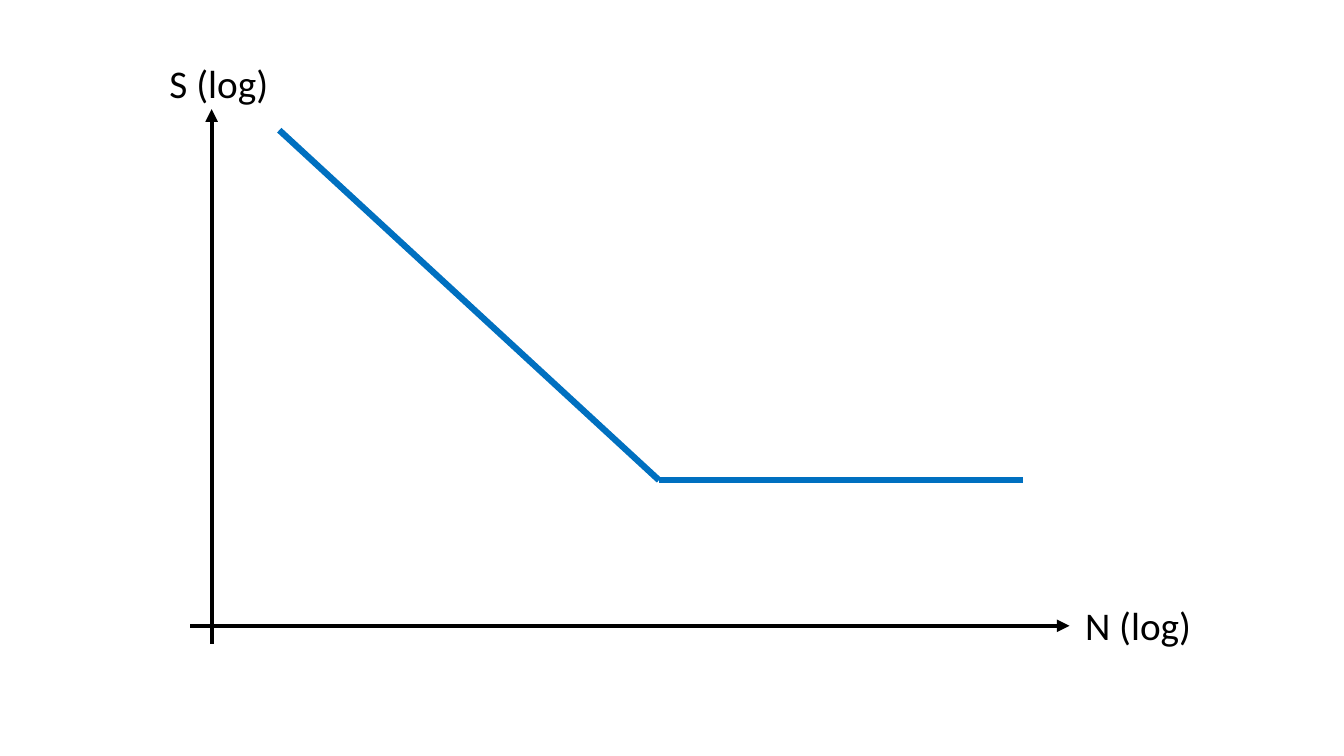
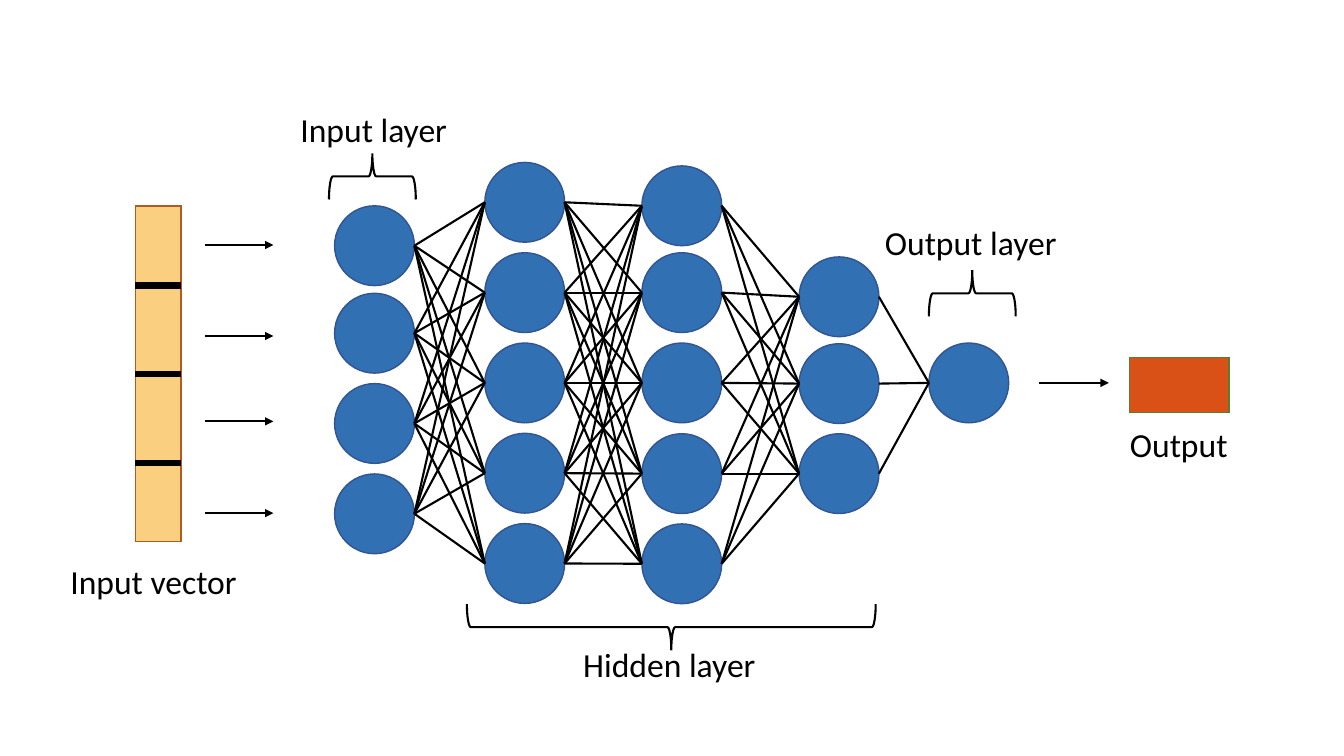
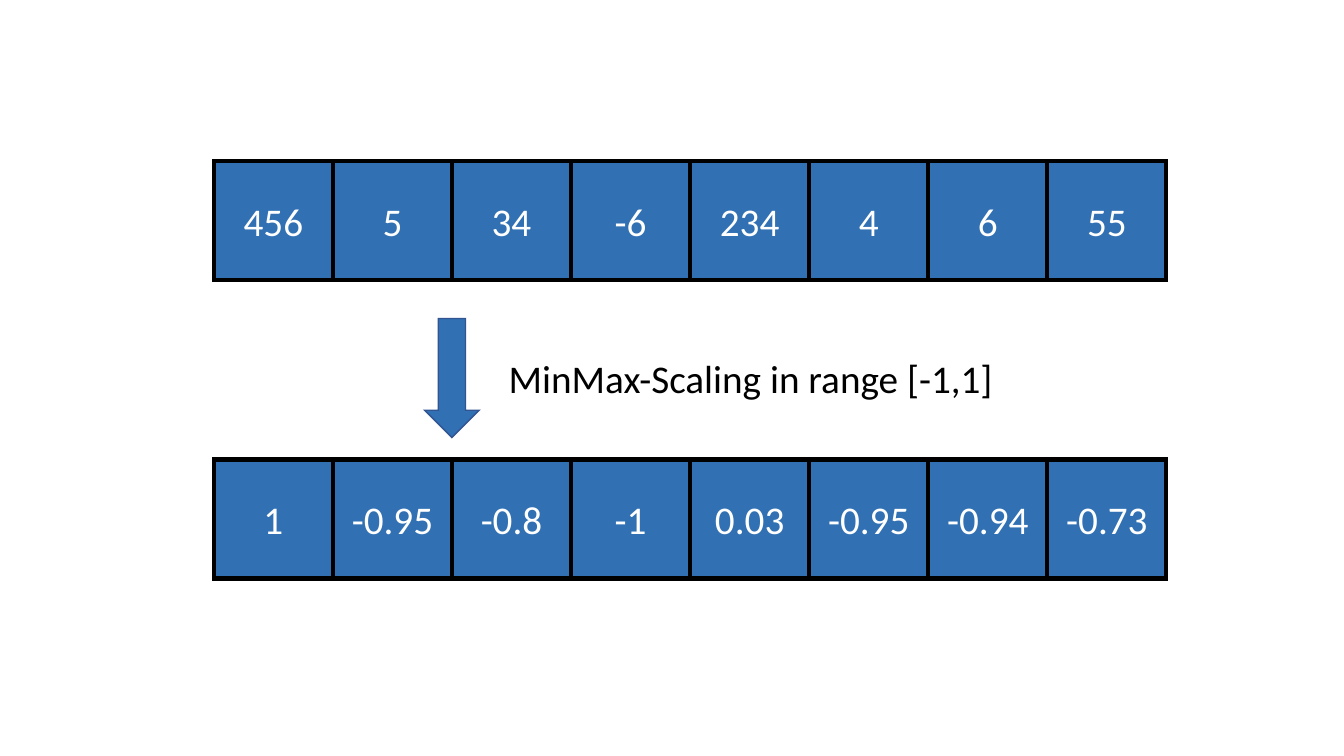
from itertools import pairwise, product

from lxml.etree import SubElement
from pptx import Presentation
from pptx.dml.color import RGBColor
from pptx.enum.shapes import MSO_CONNECTOR, MSO_SHAPE
from pptx.enum.text import MSO_ANCHOR, MSO_AUTO_SIZE, PP_ALIGN
from pptx.oxml.ns import qn
from pptx.util import Pt

# Shared look
FONT = "Calibri"
BLACK, WHITE = "000000", "FFFFFF"
BLUE, BLUE_EDGE, CURVE_BLUE = "3070B3", "325491", "0070C0"
SAND, SAND_EDGE = "FAD080", "AF5C24"
ORANGE, GREEN_EDGE = "D95117", "538035"


def paint(color_format, color):
    color_format.rgb = RGBColor.from_string(color)


def style_paragraph(paragraph, size, color):
    paragraph.font.name = FONT
    paragraph.font.size = Pt(size)
    paint(paragraph.font.color, color)


def add_label(slide, text, left, top, width, height, size, wrap=False):
    frame = slide.shapes.add_textbox(
        Pt(left), Pt(top), Pt(width), Pt(height)).text_frame
    frame.word_wrap = wrap
    frame.auto_size = MSO_AUTO_SIZE.SHAPE_TO_FIT_TEXT
    frame.text = text
    style_paragraph(frame.paragraphs[0], size, BLACK)


def add_block(slide, preset, left, top, width, height, fill, edge, weight=1):
    block = slide.shapes.add_shape(
        preset, Pt(left), Pt(top), Pt(width), Pt(height))
    block.shadow.inherit = False
    if fill:
        block.fill.solid()
        paint(block.fill.fore_color, fill)
    else:
        block.fill.background()
    paint(block.line.color, edge)
    block.line.width = Pt(weight)
    # Sharp outline corners
    outline = block._element.spPr.find(qn("a:ln"))
    SubElement(outline, qn("a:miter"), lim="800000")
    return block


def add_line(slide, start, end, weight=1.5, color=BLACK, arrow=False):
    line = slide.shapes.add_connector(
        MSO_CONNECTOR.STRAIGHT, *(Pt(value) for value in (*start, *end)))
    paint(line.line.color, color)
    line.line.width = Pt(weight)
    properties = line._element.spPr
    if arrow:
        SubElement(properties.find(qn("a:ln")), qn("a:tailEnd"), type="triangle")
    SubElement(properties, qn("a:effectLst"))
    return line


def add_brace(slide, left, top, width, height, rotation):
    """Lay a right brace on its side so that it fills the given box."""
    shift = (width - height) / 2
    brace = add_block(slide, MSO_SHAPE.RIGHT_BRACE, left + shift, top - shift,
                      height, width, None, BLACK, 1.5)
    brace.rotation = rotation


# Slide 1: stress-cycle curve
def add_sn_plot(slide, left, top, width, height):
    right, bottom = left + width, top + height
    axis_x, axis_y = left + 15.2, bottom - 13
    add_line(slide, (axis_x, bottom), (axis_x, top), 3, arrow=True)
    add_line(slide, (left, axis_y), (right, axis_y), 3, arrow=True)
    add_label(slide, "N (log)", right + 4, axis_y - 20.8, 91, 41, 28)
    add_label(slide, "S (log)", left - 22, top - 39, 86, 41, 28)

    curve = [(63.5, 15), (334.7, 265), (595, 265)]
    points = [(left + x, top + y) for x, y in curve]
    for start, end in pairwise(points):
        add_line(slide, start, end, 4.5, CURVE_BLUE)


# Slide 2: neural network
def add_input_vector(slide, left, top, width, height):
    vector = add_block(slide, MSO_SHAPE.RECTANGLE, left, top, width, height,
                       SAND, SAND_EDGE)
    # Dividers; the middle one is joined to the sides of the vector
    right, middle = left + width, height / 2
    for offset in (57, middle, 183.5):
        divider = add_line(slide, (left, top + offset), (right, top + offset), 4.5)
        if offset == middle:
            divider.begin_connect(vector, 1)
            divider.end_connect(vector, 3)
    for offset in (28, 93, 154, 219.5):
        add_line(slide, (right + 17, top + offset), (right + 66, top + offset),
                 arrow=True)
    add_label(slide, "Input vector", left - 53.5, top + height + 10, 140, 36, 24)


def add_network(slide, left, top):
    diameter = 57
    # Each layer: x offset and the y offsets of its nodes
    layers = [
        (0, (31, 93.5, 158, 222.5)),
        (107.3, (0, 64.5, 129, 193.5, 258)),
        (219.5, (2.5, 64.5, 129, 193.8, 258.2)),
        (331.8, (67.5, 129.5, 193.8)),
        (424.5, (129,)),
    ]
    for x, node_tops in layers:
        for y in node_tops:
            add_block(slide, MSO_SHAPE.OVAL, left + x, top + y,
                      diameter, diameter, BLUE, BLUE_EDGE)
    radius = diameter / 2
    for (x, sources), (next_x, targets) in pairwise(layers):
        for source, target in product(sources, targets):
            add_line(slide, (left + x + diameter, top + source + radius),
                     (left + next_x, top + target + radius))

    # Layer names with braces
    add_label(slide, "Input layer", left - 31.5, top - 42, 120, 36, 24)
    add_brace(slide, left - 4, top - 6.5, 62, 33, 270)
    add_label(slide, "Output layer", left + 386, top + 39, 138, 36, 24)
    add_brace(slide, left + 424.5, top + 77, 62, 33, 270)
    add_brace(slide, left + 94.5, top + 315.5, 292, 33, 90)
    add_label(slide, "Hidden layer", left + 170.5, top + 340.5, 139, 36, 24)


def add_output(slide, left, top, width, height):
    middle = top + height / 2 - 1.5
    add_line(slide, (left - 64.5, middle), (left - 15, middle), arrow=True)
    add_block(slide, MSO_SHAPE.RECTANGLE, left, top, width, height,
              ORANGE, GREEN_EDGE)
    add_label(slide, "Output", left - 7, top + height + 5, 85, 36, 24)


# Slide 3: scaling of a vector
def add_number_row(slide, numbers, left, top, width):
    side = width / len(numbers)
    for column, number in enumerate(numbers):
        cell = add_block(slide, MSO_SHAPE.RECTANGLE, left + column * side, top,
                         side, side, BLUE, BLACK, 3)
        frame = cell.text_frame
        frame.vertical_anchor = MSO_ANCHOR.MIDDLE
        frame.text = number
        paragraph = frame.paragraphs[0]
        paragraph.alignment = PP_ALIGN.CENTER
        style_paragraph(paragraph, 28, WHITE)


def add_scaling(slide, left, top, width):
    raw = ("456", "5", "34", "-6", "234", "4", "6", "55")
    scaled = ("1", "-0.95", "-0.8", "-1", "0.03", "-0.95", "-0.94", "-0.73")
    add_number_row(slide, raw, left, top, width)
    add_number_row(slide, scaled, left, top + 213, width)
    add_block(slide, MSO_SHAPE.DOWN_ARROW, left + 150.5, top + 112.3, 39, 85,
              BLUE, BLUE_EDGE)
    add_label(slide, "MinMax-Scaling in range [-1,1]", left + 203.5, top + 134,
              477, 41, 28, wrap=True)


def main():
    deck = Presentation()
    deck.slide_width, deck.slide_height = Pt(960), Pt(540)
    blank = deck.slide_layouts[6]
    curve_slide, network_slide, scaling_slide = (
        deck.slides.add_slide(blank) for _ in range(3))

    add_sn_plot(curve_slide, 136, 78, 628, 382)

    add_network(network_slide, 239, 116)
    add_input_vector(network_slide, 96.7, 147, 32.6, 240)
    add_output(network_slide, 807, 255.5, 71, 39)

    add_scaling(scaling_slide, 152.8, 115.2, 680.4)
    deck.save("out.pptx")


if __name__ == "__main__":
    main()
